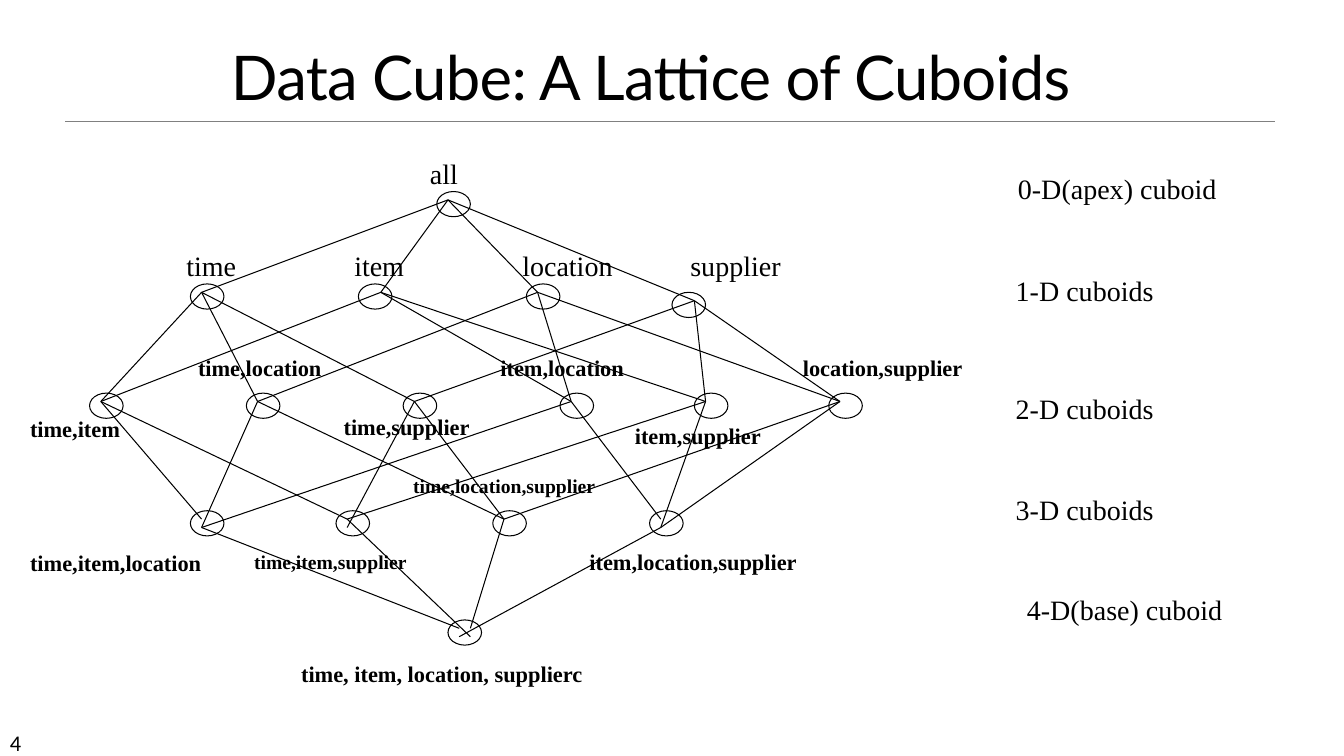
from itertools import product
from lxml.etree import SubElement
from pptx import Presentation as Deck
from pptx.dml.color import RGBColor
from pptx.enum.shapes import MSO_CONNECTOR as Link, MSO_SHAPE as Form
from pptx.enum.text import MSO_ANCHOR as Anchor, MSO_AUTO_SIZE as Fit, PP_ALIGN as Align
from pptx.oxml.ns import qn
from pptx.util import Inches, Pt

BLACK = RGBColor(0, 0, 0)
WHITE = RGBColor(255, 255, 255)
GRAY = RGBColor(128, 128, 128)
COLS, ROWS = 120, 90
TOP = 22.8

NODES = {
    "": (39, 0, "all", 37.5, 18, 4.3),
    "t": (17, 11, "time", 15.75, 29, 6.3),
    "i": (32, 11, "item", 30.75, 29, 6.3),
    "l": (47, 11, "location", 45.75, 29, 9.9),
    "s": (60, 12, "supplier", 60.75, 29, 9.9),
    "ti": (8, 24, "time,item", 1.8, 48.8, 10),
    "tl": (22, 24, "time,location", 16.8, 41.6, 13.05),
    "ts": (36, 24, "time,supplier", 29.8, 48.6, 13.2),
    "il": (50, 24, "item,location", 43.8, 41.6, 13.05),
    "is": (62, 24, "item,supplier", 55.8, 49.7, 13.2),
    "ls": (74, 24, "location,supplier", 70.8, 41.6, 16.3),
    "til": (17, 38, "time,item,location", 1.8, 64.8, 17.4),
    "tis": (30, 38, "time,item,supplier", 21.8, 64.9, 15.6),
    "tls": (44, 38, "time,location,supplier", 36, 55.8, 18.2),
    "ils": (58, 38, "item,location,supplier", 51.75, 64.7, 20.6),
    "tils": (40, 51, "time, item, location, supplierc", 26, 78, 27.4),
}
SMALL = {"tis", "tls"}
SHIFT = {"i", "s"}
LOW = {("tl", "til"), ("il", "til"), ("ts", "tis"), ("is", "ils"),
       ("ls", "ils"), ("tis", "tils"), ("ils", "tils")}
LEVELS = [
    ("0-D(apex) cuboid", 90, 19.8, 19.7),
    ("1-D cuboids", 89.8, 32, 14.2),
    ("2-D cuboids", 89.8, 46, 14.2),
    ("3-D cuboids", 89.8, 58, 14.2),
    ("4-D(base) cuboid", 90.8, 70, 19.4),
]


class Page:
    def __init__(self, deck):
        self.slide = deck.slides.add_slide(deck.slide_layouts[6])
        self.wide = deck.slide_width / COLS
        self.high = deck.slide_height / ROWS

    def grid(self, *spots):
        return [round(spot * (self.high if i % 2 else self.wide))
                for i, spot in enumerate(spots)]

    def text(self, words, x, y, w, h, size, font="Times New Roman", bold=False):
        frame = self.slide.shapes.add_textbox(*self.grid(x, y, w, h)).text_frame
        frame.text = words
        frame.word_wrap = False
        face = frame.paragraphs[0].runs[0].font
        face.name, face.size, face.bold = font, Pt(size), bold
        face.color.rgb = BLACK
        return frame

    def label(self, words, x, y, w, size=20, bold=False):
        frame = self.text(words, x, y, w, size * 0.27, size, bold=bold)
        frame.auto_size = Fit.SHAPE_TO_FIT_TEXT

    def title(self, words):
        frame = self.text(words, 8.2, 5, 99.8, 9, 44, "Lato")
        frame.word_wrap = True
        frame.vertical_anchor = Anchor.BOTTOM
        line = frame.paragraphs[0]
        line.alignment, line.line_spacing = Align.CENTER, 0.85
        line.runs[0].font._element.set("spc", "-50")

    def node(self, x, y):
        dot = self.slide.shapes.add_shape(
            Form.FLOWCHART_CONNECTOR, *self.grid(x, y, 3, 3))
        dot.shadow.inherit = False
        dot.fill.solid()
        dot.fill.fore_color.rgb = WHITE
        dot.line.color.rgb = BLACK
        dot.line.width = Pt(0.75)

    def edge(self, start, end, tint=BLACK, width=0.75):
        line = self.slide.shapes.add_connector(
            Link.STRAIGHT, *self.grid(*start, *end))
        line.line.color.rgb = tint
        line.line.width = Pt(width)
        SubElement(line._element.spPr, qn("a:effectLst"))


def hub(key, drop=0):
    x, y = NODES[key][:2]
    return x + (2 if key in SHIFT else 1), TOP + y + 1 + drop


def draw(page):
    page.edge((5.85, 14.4), (113.85, 14.4), GRAY, 0.5)
    page.text("4", 0, 86.2, 10.5, 3.6, 16, "Calibri")
    page.title("Data Cube: A Lattice of Cuboids")
    for x, y, *rest in NODES.values():
        page.node(x, TOP + y)
    for high, low in product(NODES, NODES):
        if len(low) == len(high) + 1 and set(high) < set(low):
            start = hub(high, high in {"til", "ils"})
            x, y = hub(low, (high, low) in LOW)
            page.edge(start, (x + (high in SMALL), y))
    for key, (_, _, words, x, y, w) in NODES.items():
        deep = len(key) > 1
        size = 14 if key in SMALL else 16 if deep else 20
        page.label(words, x, y, w, size, deep)
    for level in LEVELS:
        page.label(*level)


def main():
    deck = Deck()
    deck.slide_width, deck.slide_height = Inches(13.33), Inches(7.5)
    draw(Page(deck))
    deck.save("out.pptx")


if __name__ == "__main__":
    main()
